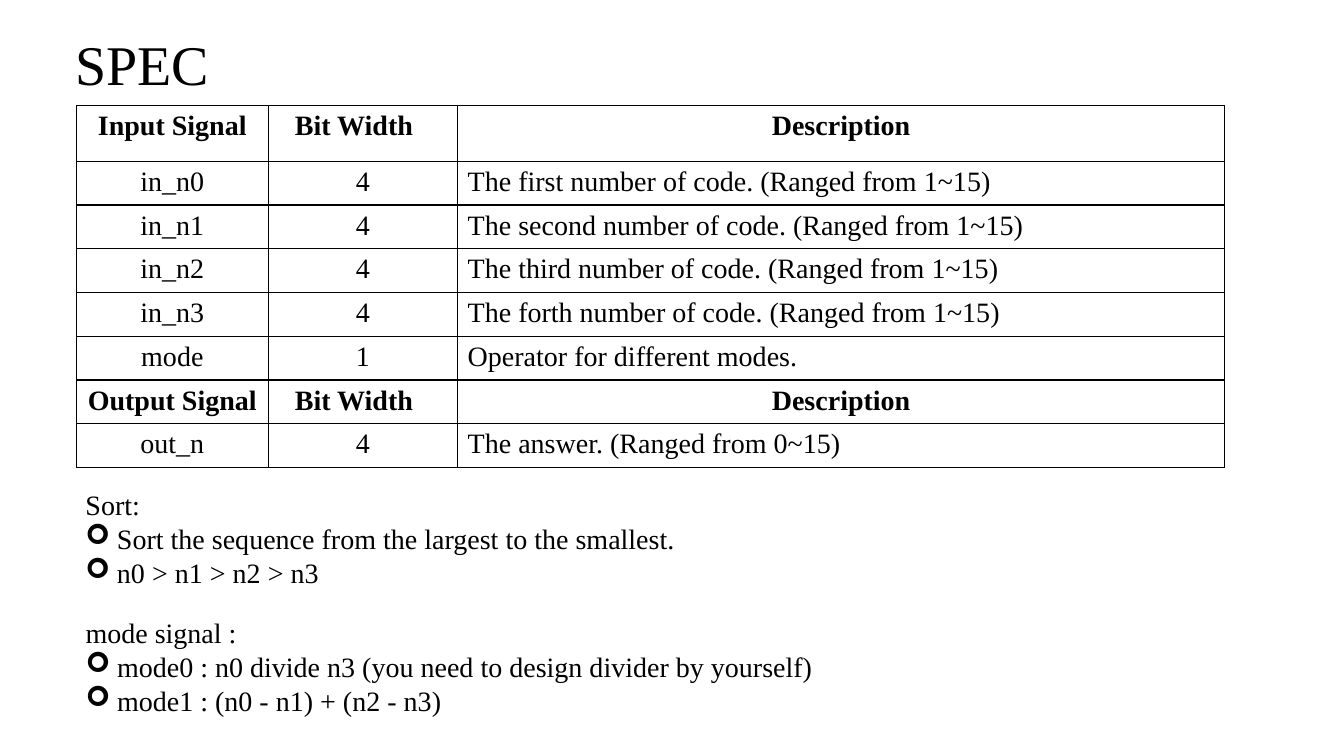
from lxml.etree import SubElement
from pptx import Presentation
from pptx.dml.color import RGBColor
from pptx.enum.text import MSO_ANCHOR, PP_ALIGN
from pptx.oxml import parse_xml
from pptx.oxml.ns import nsdecls, qn
from pptx.util import Pt

BLACK = RGBColor(0, 0, 0)
FONT = "Times New Roman"


def add_text(paragraph, text, size=20, bold=False):
    run = paragraph.add_run()
    run.text = text
    run.font.name = FONT
    run.font.size = Pt(size)
    run.font.bold = bold
    run.font.color.rgb = BLACK


def add_borders(cell):
    properties = cell._tc.get_or_add_tcPr()
    for position, side in enumerate(("lnL", "lnR", "lnT", "lnB")):
        properties.insert(position, parse_xml(
            f'<a:{side} {nsdecls("a")} w="{Pt(1)}"><a:solidFill>'
            f'<a:srgbClr val="{BLACK}"/></a:solidFill></a:{side}>'))


deck = Presentation()
deck.slide_width = Pt(960)
deck.slide_height = Pt(540)
slide = deck.slides.add_slide(deck.slide_layouts[6])

heading = slide.shapes.add_textbox(Pt(54), Pt(25.2), Pt(568.8), Pt(44.6)).text_frame
heading.word_wrap = True
heading.vertical_anchor = MSO_ANCHOR.BOTTOM
heading.margin_left = heading.margin_right = heading.margin_bottom = 0
heading.margin_top = Pt(0.7)
heading.paragraphs[0].line_spacing = 0.9
add_text(heading.paragraphs[0], "SPEC", 40)

signal_rows = [
    ("Input Signal", "Bit Width", "Description"),
    ("in_n0", "4", "The first number of code. (Ranged from 1~15)"),
    ("in_n1", "4", "The second number of code. (Ranged from 1~15)"),
    ("in_n2", "4", "The third number of code. (Ranged from 1~15)"),
    ("in_n3", "4", "The forth number of code. (Ranged from 1~15)"),
    ("mode", "1", "Operator for different modes."),
    ("Output Signal", "Bit Width", "Description"),
    ("out_n", "4", "The answer. (Ranged from 0~15)"),
]
column_widths = [136.8, 135.4, 547.9]
row_heights = [39.8] + [31.2] * 7
signals = slide.shapes.add_table(
    len(signal_rows), len(column_widths), Pt(54.7), Pt(75.4),
    Pt(sum(column_widths)), Pt(sum(row_heights))).table
signals.first_row = signals.horz_banding = False
for column, width in zip(signals.columns, column_widths):
    column.width = Pt(width)
for row, height, texts in zip(signals.rows, row_heights, signal_rows):
    row.height = Pt(height)
    is_header = texts[1] == "Bit Width"
    for index, (cell, text) in enumerate(zip(row.cells, texts)):
        cell.fill.background()
        add_borders(cell)
        paragraph = cell.text_frame.paragraphs[0]
        if is_header or index < 2:
            paragraph.alignment = PP_ALIGN.CENTER
        if text == "Bit Width":
            paragraph.space_before = Pt(3.1)
            cell.margin_right = Pt(20)
        add_text(paragraph, text, bold=is_header)

notes = [
    (344.9, 480.2, "Sort:", [
        "Sort the sequence from the largest to the smallest.",
        "n0 > n1 > n2 > n3"]),
    (436.3, 596.2, "mode signal :", [
        "mode0 : n0 divide n3 (you need to design divider by yourself)",
        "mode1 : (n0 - n1) + (n2 - n3)"]),
]
for top, width, topic, points in notes:
    note = slide.shapes.add_textbox(Pt(54), Pt(top), Pt(width), Pt(79.9)).text_frame
    note.word_wrap = True
    add_text(note.paragraphs[0], topic)
    for point in points:
        paragraph = note.add_paragraph()
        properties = paragraph._p.get_or_add_pPr()
        properties.set("marL", str(Pt(22.5)))
        properties.set("indent", str(-Pt(22.5)))
        SubElement(properties, qn("a:buFont"), typeface="Wingdings")
        SubElement(properties, qn("a:buChar"), char="➢")
        add_text(paragraph, point)

deck.save("out.pptx")
